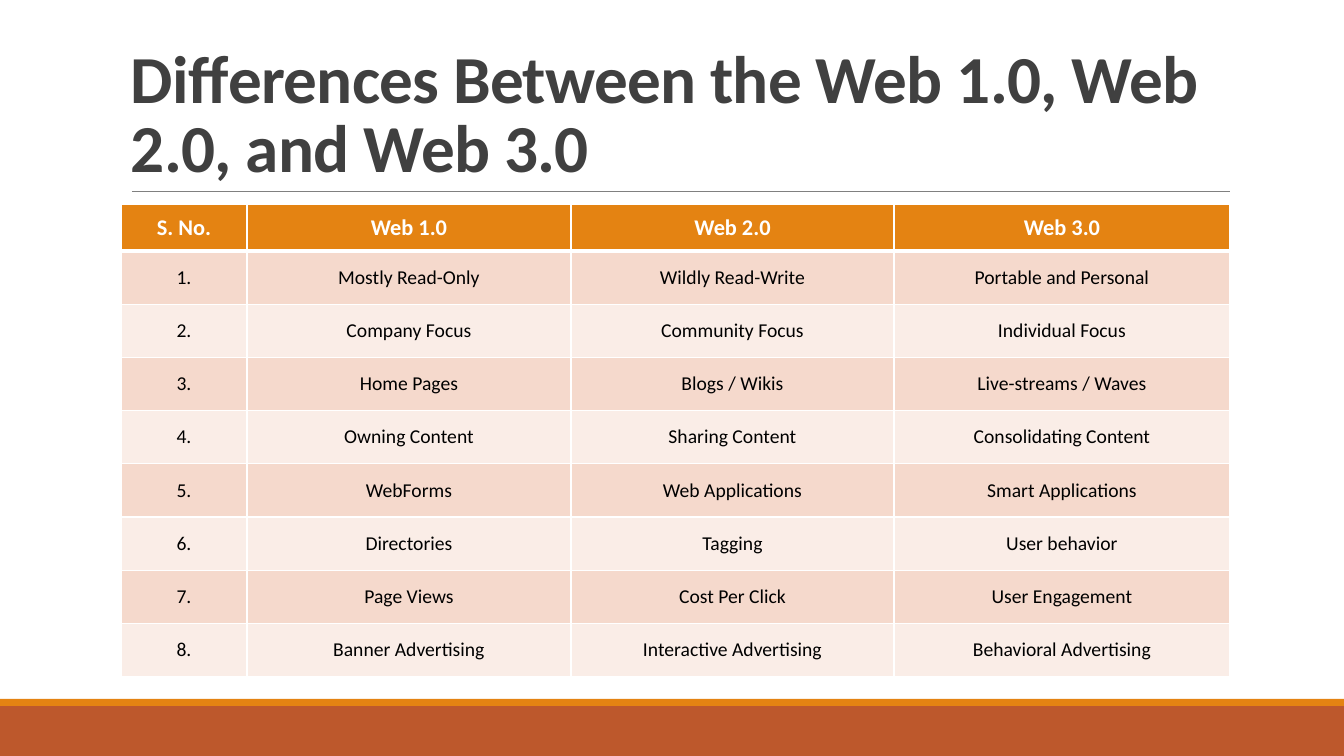
from dataclasses import dataclass

from lxml.etree import SubElement
from pptx import Presentation
from pptx.dml.color import RGBColor
from pptx.enum.shapes import MSO_CONNECTOR, MSO_SHAPE
from pptx.enum.text import MSO_ANCHOR, PP_ALIGN
from pptx.oxml.ns import qn
from pptx.util import Pt

SCALE = 12192000 / 1344


@dataclass(frozen=True)
class Theme:
    font: str = "Calibri"
    orange: str = "E48312"
    rust: str = "BD582C"
    gray: str = "808080"
    dark: str = "404040"
    black: str = "000000"
    white: str = "FFFFFF"
    bands: tuple = ("F5D9CC", "FAEDE7")
    title: int = 48
    head: int = 16
    body: int = 14


THEME = Theme()

ROWS = [
    ("S. No.", "Web 1.0", "Web 2.0", "Web 3.0"),
    ("1.", "Mostly Read-Only", "Wildly Read-Write", "Portable and Personal"),
    ("2.", "Company Focus", "Community Focus", "Individual Focus"),
    ("3.", "Home Pages", "Blogs / Wikis", "Live-streams / Waves"),
    ("4.", "Owning Content", "Sharing Content", "Consolidating Content"),
    ("5.", "WebForms", "Web Applications", "Smart Applications"),
    ("6.", "Directories", "Tagging", "User behavior"),
    ("7.", "Page Views", "Cost Per Click", "User Engagement"),
    ("8.", "Banner Advertising", "Interactive Advertising", "Behavioral Advertising"),
]
WIDTHS = (126, 324, 323, 336)
HEAD_H, TABLE_H = 47, 473


def px(*values):
    sizes = [round(v * SCALE) for v in values]
    return sizes if len(sizes) > 1 else sizes[0]


def color(code):
    return RGBColor.from_string(code)


def style(para, size, code, bold):
    font = para.font
    font.name, font.size, font.bold = THEME.font, Pt(size), bold
    font.color.rgb = color(code)


def add_bar(slide, top, height, code):
    bar = slide.shapes.add_shape(MSO_SHAPE.RECTANGLE, *px(0, top, 1344, height))
    bar.shadow.inherit = False
    bar.fill.solid()
    bar.fill.fore_color.rgb = color(code)
    bar.line.fill.background()


def add_rule(slide, left, right, y):
    rule = slide.shapes.add_connector(MSO_CONNECTOR.STRAIGHT, *px(left, y, right, y))
    rule.line.color.rgb = color(THEME.gray)
    rule.line.width = Pt(0.5)
    SubElement(rule.line._get_or_add_ln().getparent(), qn("a:effectLst"))


def add_title(slide, text):
    frame = slide.shapes.add_textbox(*px(121, 31, 1109, 160)).text_frame
    frame.word_wrap = True
    frame.vertical_anchor = MSO_ANCHOR.BOTTOM
    para = frame.paragraphs[0]
    para.line_spacing = 0.85
    style(para, THEME.title, THEME.dark, True)
    run = para.add_run()
    run.text = text
    run.font._element.set("spc", "-50")


def add_edge(cell, side, width):
    props = cell._tc.get_or_add_tcPr()
    edge = SubElement(props, qn(f"a:ln{side}"), w=str(Pt(width)))
    fill = SubElement(edge, qn("a:solidFill"))
    SubElement(fill, qn("a:srgbClr"), val=THEME.white)


def fill_cell(cell, text, row, col):
    head = row == 0
    # Borders, with a thick line under the header
    thick = {"B": 0, "T": 1}
    for side in "LRTB":
        add_edge(cell, side, 3 if thick.get(side) == row else 1)
    cell.fill.solid()
    cell.fill.fore_color.rgb = color(THEME.orange if head else THEME.bands[(row - 1) % 2])
    # Insets and text
    cell.vertical_anchor = MSO_ANCHOR.MIDDLE
    cell.margin_left = cell.margin_right = px(4 if head and col == 0 else 10)
    cell.margin_top = cell.margin_bottom = px(10 if head else 14)
    cell.text = text
    para = cell.text_frame.paragraphs[0]
    para.alignment = PP_ALIGN.CENTER
    if head:
        style(para, THEME.head, THEME.white, True)
    else:
        style(para, THEME.body, THEME.black, False)


def add_grid(slide, left, top):
    size = px(left, top, sum(WIDTHS), TABLE_H)
    table = slide.shapes.add_table(len(ROWS), len(WIDTHS), *size).table
    for column, width in zip(table.columns, WIDTHS):
        column.width = px(width)
    body_h = (TABLE_H - HEAD_H) / (len(ROWS) - 1)
    for row, texts in enumerate(ROWS):
        table.rows[row].height = px(body_h if row else HEAD_H)
        for col, text in enumerate(texts):
            fill_cell(table.cell(row, col), text, row, col)


def main():
    deck = Presentation()
    deck.slide_width, deck.slide_height = px(1344, 756)
    slide = deck.slides.add_slide(deck.slide_layouts[6])

    # Footer bands
    add_bar(slide, 706, 50, THEME.rust)
    add_bar(slide, 699, 7, THEME.orange)

    # Heading
    add_rule(slide, 132, 1230, 191)
    add_title(slide, "Differences Between the Web 1.0, Web 2.0, and Web 3.0")

    # Comparison table
    add_grid(slide, 121, 204)

    deck.save("out.pptx")


if __name__ == "__main__":
    main()
